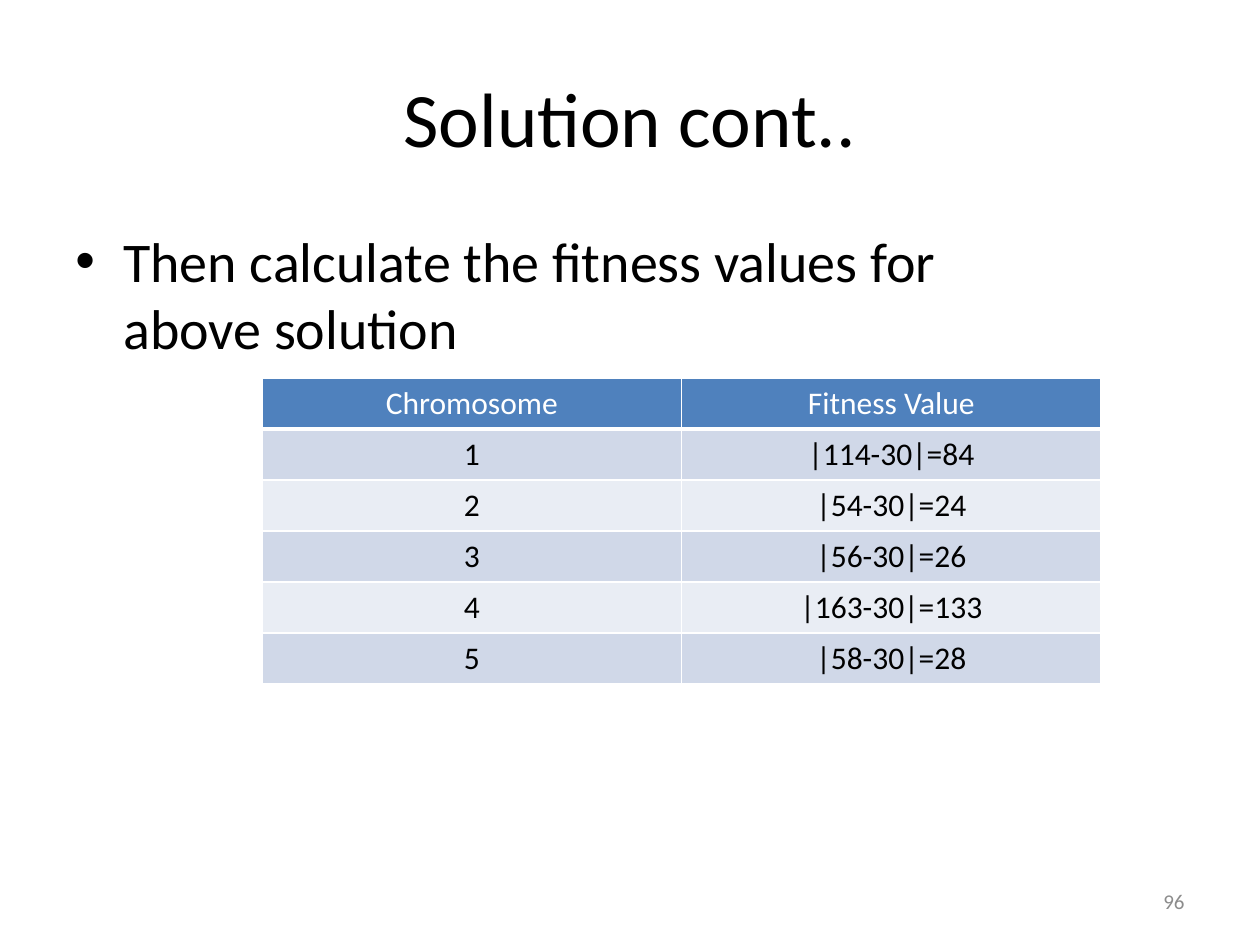
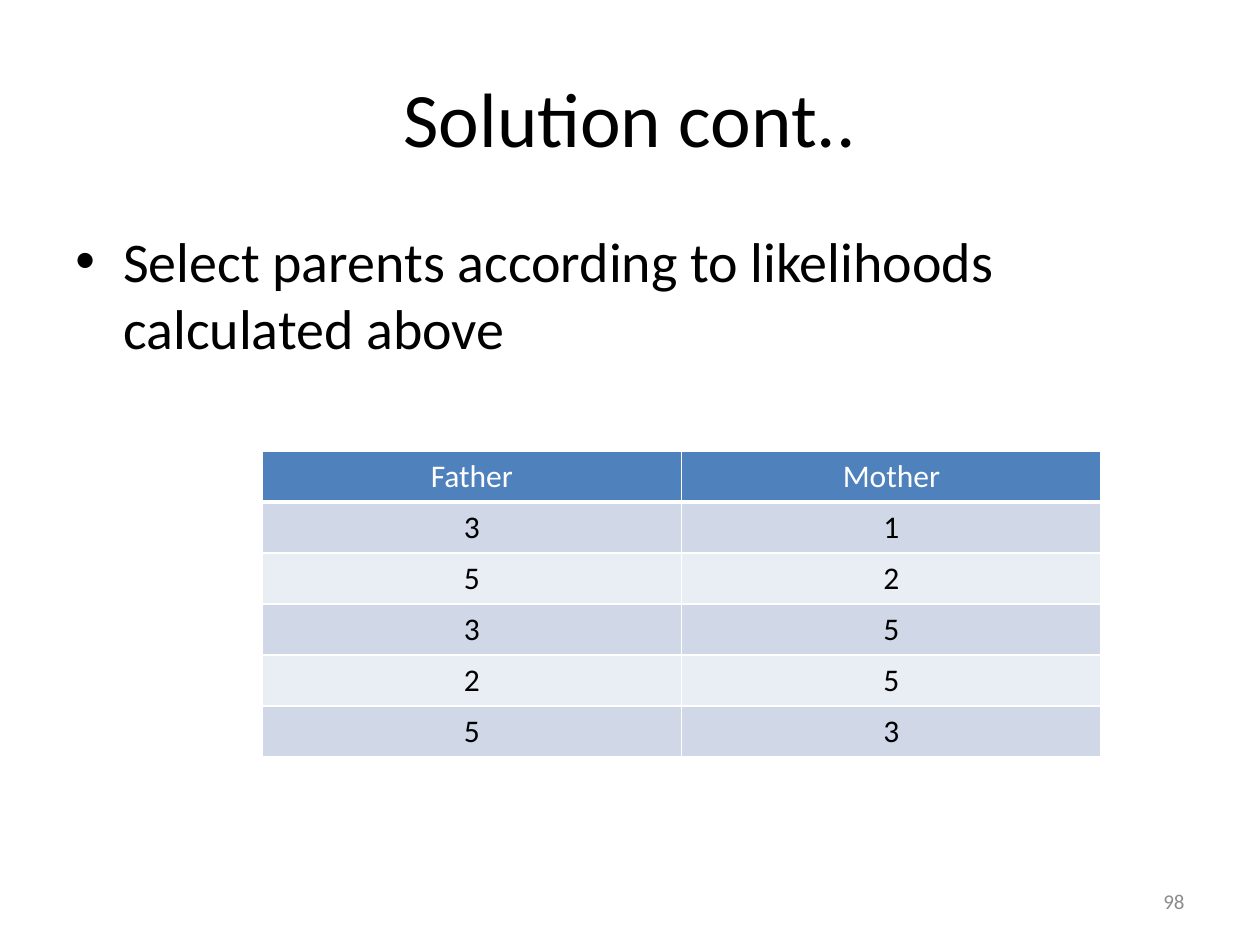
from dataclasses import dataclass

from lxml.etree import SubElement
from pptx import Presentation
from pptx.dml.color import RGBColor as RGB
from pptx.enum.text import MSO_ANCHOR as Anchor, PP_ALIGN as Align
from pptx.oxml import parse_xml
from pptx.oxml.ns import nsdecls, qn
from pptx.util import Inches, Pt


@dataclass(frozen=True)
class Theme:
    font: str = "Calibri"
    ink: str = "000000"
    paper: str = "FFFFFF"
    muted: str = "8C8C8C"
    header: str = "4F81BD"
    bands: tuple = ("D0D8E8", "E9EDF4")
    title_size: int = 44
    body_size: int = 32
    table_size: int = 18
    number_size: int = 12
    rule: int = 1
    header_rule: int = 3


THEME = Theme()


def write(frame, text, size, color=THEME.ink, align=Align.LEFT,
          anchor=Anchor.TOP, bullet=False):
    frame.word_wrap = True
    frame.vertical_anchor = anchor
    paragraph = frame.paragraphs[0]
    paragraph.alignment = align
    if bullet:
        add_bullet(paragraph)
    run = paragraph.add_run()
    run.text = text
    run.font.name = THEME.font
    run.font.size = Pt(size)
    run.font.bold = False
    run.font.color.rgb = RGB.from_string(color)


def add_bullet(paragraph):
    properties = paragraph._p.get_or_add_pPr()
    properties.set("marL", str(Inches(0.38)))
    properties.set("indent", str(Inches(-0.38)))
    SubElement(properties, qn("a:buFont"), typeface="Arial")
    SubElement(properties, qn("a:buChar"), char="•")


def add_text(slide, text, left, top, width, height, **style):
    box = slide.shapes.add_textbox(
        Inches(left), Inches(top), Inches(width), Inches(height))
    write(box.text_frame, text, **style)


def set_borders(cell, bottom):
    widths = {"L": THEME.rule, "R": THEME.rule, "T": THEME.rule, "B": bottom}
    properties = cell._tc.get_or_add_tcPr()
    for position, (side, width) in enumerate(widths.items()):
        properties.insert(position, parse_xml(
            f'<a:ln{side} {nsdecls("a")} w="{Pt(width)}"><a:solidFill>'
            f'<a:srgbClr val="{THEME.paper}"/></a:solidFill></a:ln{side}>'))


def add_banded_table(slide, rows, top):
    row_height, column_width = Inches(0.405), Inches(3.33)
    table = slide.shapes.add_table(
        len(rows), len(rows[0]), Inches(2.08), Inches(top),
        column_width * len(rows[0]), row_height * len(rows)).table
    for column in table.columns:
        column.width = column_width
    for row_index, values in enumerate(rows):
        is_header = row_index == 0
        table.rows[row_index].height = row_height
        fill = THEME.header if is_header else THEME.bands[(row_index - 1) % 2]
        for column_index, value in enumerate(values):
            cell = table.cell(row_index, column_index)
            cell.fill.solid()
            cell.fill.fore_color.rgb = RGB.from_string(fill)
            set_borders(cell, THEME.header_rule if is_header else THEME.rule)
            write(cell.text_frame, value, THEME.table_size, align=Align.CENTER,
                  color=THEME.paper if is_header else THEME.ink)


def add_solution_slide(deck, statement, rows, table_top, number):
    slide = deck.slides.add_slide(deck.slide_layouts[6])
    slide.background.fill.solid()
    slide.background.fill.fore_color.rgb = RGB.from_string(THEME.paper)
    add_text(slide, "Solution cont..", 0.5, 0.3, 9, 1.25,
             size=THEME.title_size, align=Align.CENTER, anchor=Anchor.MIDDLE)
    add_text(slide, statement, 0.5, 1.75, 8.17, 5.33,
             size=THEME.body_size, bullet=True)
    add_banded_table(slide, rows, table_top)
    add_text(slide, number, 7.17, 6.95, 2.33, 0.4, size=THEME.number_size,
             color=THEME.muted, align=Align.RIGHT, anchor=Anchor.MIDDLE)


def main():
    deck = Presentation()
    deck.slide_width, deck.slide_height = Inches(10), Inches(7.5)

    target = 30
    totals = [114, 54, 56, 163, 58]
    fitness = [(str(chromosome), f"|{total}-{target}|={abs(total - target)}")
               for chromosome, total in enumerate(totals, start=1)]
    add_solution_slide(
        deck, "Then calculate the fitness values for above solution",
        [("Chromosome", "Fitness Value"), *fitness], 3, "96")

    parents = [("3", "1"), ("5", "2"), ("3", "5"), ("2", "5"), ("5", "3")]
    add_solution_slide(
        deck, "Select parents according to likelihoods calculated above",
        [("Father", "Mother"), *parents], 3.58, "98")

    deck.save("out.pptx")


if __name__ == "__main__":
    main()
